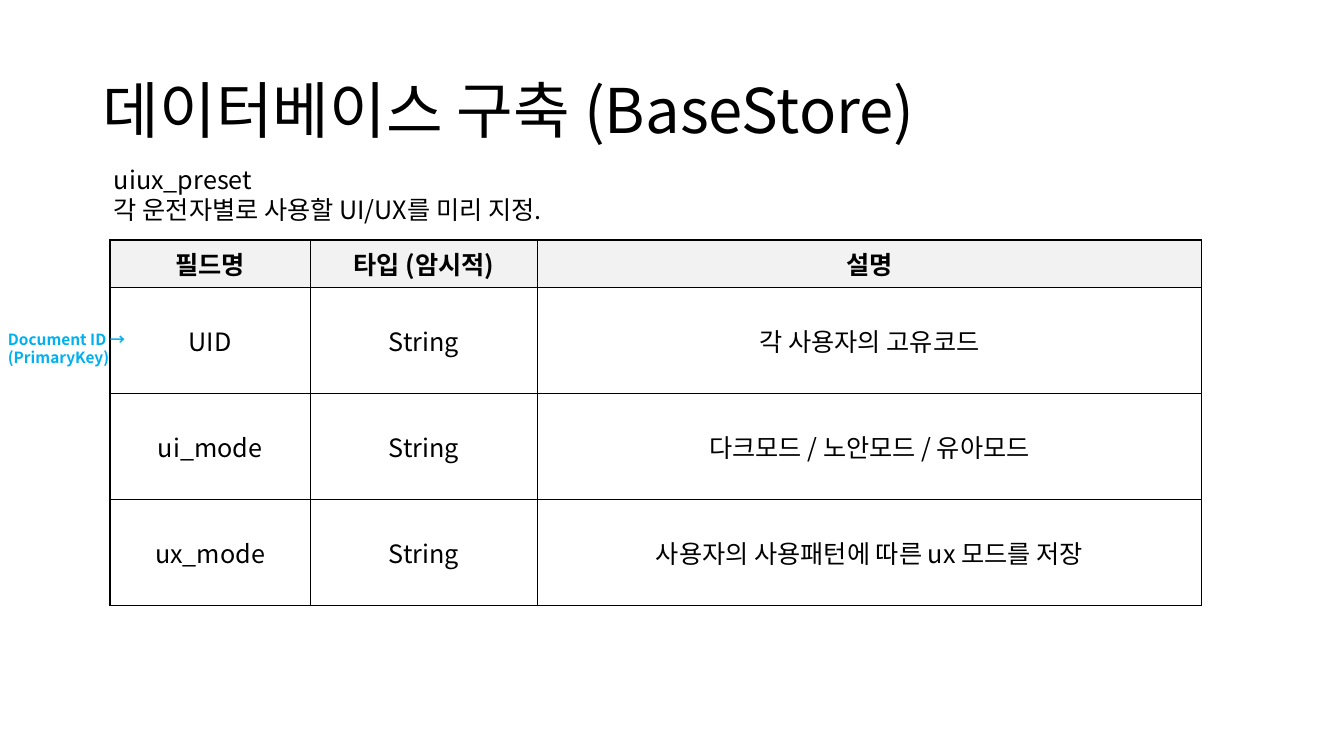
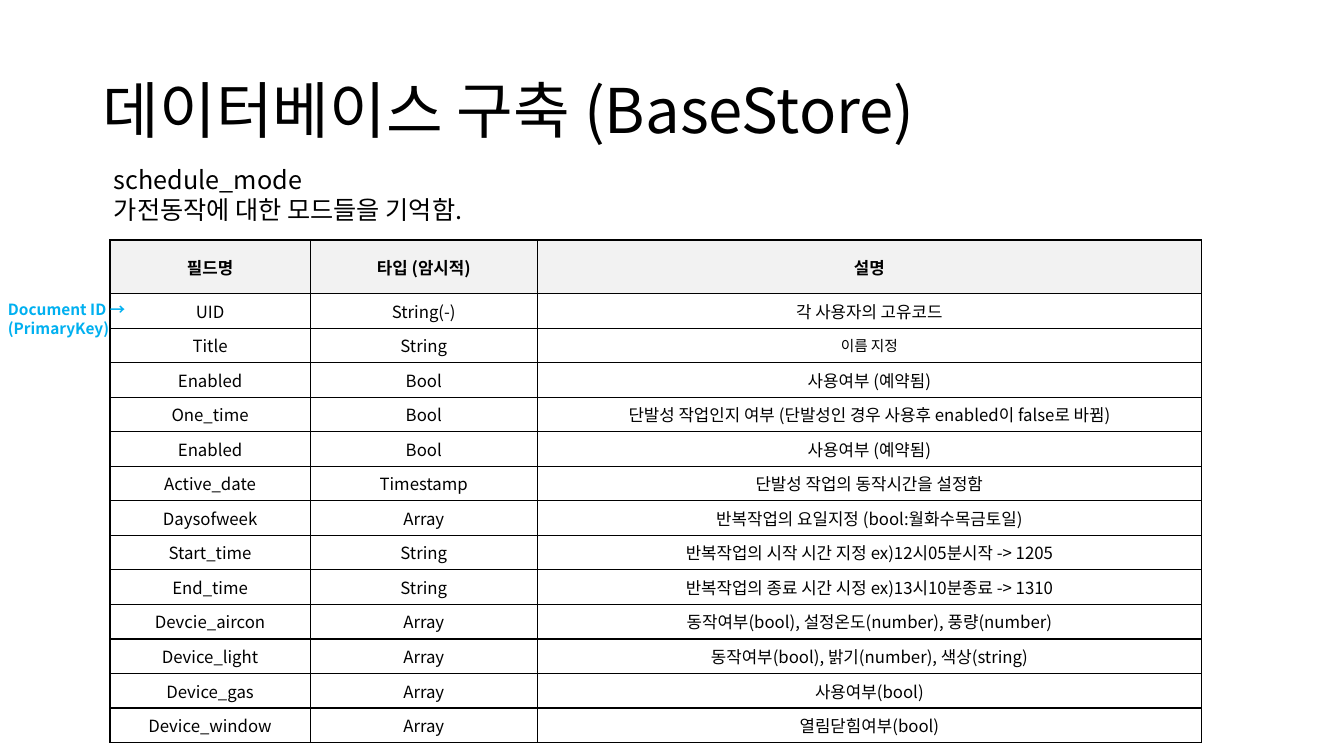
"""Build two slides that document the collections of a document database."""
import pptx
import pptx.dml.color
import pptx.enum.text
import pptx.oxml.ns
import pptx.util
from lxml import etree

Cm = pptx.util.Cm
Pt = pptx.util.Pt
FONT = "Noto Sans CJK KR"
BLACK, HEADER_GREY, KEY_BLUE = "000000", "F2F2F2", "00B0F0"
TITLE = "데이터베이스 구축 (BaseStore)"
TITLE_BOX = (2.34, 1.02, 29.21, 3.68)
NOTE_BOX = (2.62, 4.01, 12.47, 1.8)
TABLE_CORNER = (2.77, 6.05)
COLUMN_WIDTHS = (5.05, 5.72, 16.74)
KEY_SIZE = (3.53, 1.19)
KEY_LINES = ("Document ID →", "(PrimaryKey)")
HEADINGS = ("필드명", "타입 (암시적)", "설명")

PRESET = {
    "note": ("uiux_preset", "각 운전자별로 사용할 UI/UX를 미리 지정."),
    "size": 18,
    "heights": (1.19, 2.67),
    "fields": (
        ("UID", "String", "각 사용자의 고유코드"),
        ("ui_mode", "String", "다크모드 / 노안모드 / 유아모드"),
        ("ux_mode", "String", "사용자의 사용패턴에 따른 ux 모드를 저장"),
    ),
}
SCHEDULE = {
    "note": ("schedule_mode", "가전동작에 대한 모드들을 기억함."),
    "size": 12,
    "heights": (1.35, 0.87),
    "special_sizes": {"이름 지정": 10.5},
    "fields": (
        ("UID", "String(-)", "각 사용자의 고유코드"),
        ("Title", "String", "이름 지정"),
        ("Enabled", "Bool", "사용여부 (예약됨)"),
        ("One_time", "Bool", "단발성 작업인지 여부 (단발성인 경우 사용후 enabled이 false로 바뀜)"),
        ("Enabled", "Bool", "사용여부 (예약됨)"),
        ("Active_date", "Timestamp", "단발성 작업의 동작시간을 설정함"),
        ("Daysofweek", "Array", "반복작업의 요일지정 (bool:월화수목금토일)"),
        ("Start_time", "String", "반복작업의 시작 시간 지정 ex)12시05분시작 -> 1205"),
        ("End_time", "String", "반복작업의 종료 시간 시정 ex)13시10분종료 -> 1310"),
        ("Devcie_aircon", "Array", "동작여부(bool), 설정온도(number), 풍량(number)"),
        ("Device_light", "Array", "동작여부(bool), 밝기(number), 색상(string)"),
        ("Device_gas", "Array", "사용여부(bool)"),
        ("Device_window", "Array", "열림닫힘여부(bool)"),
    ),
}


def colour(value):
    """Turn a hex string into a colour."""
    return pptx.dml.color.RGBColor.from_string(value)


def add_span(para, text, size, ink=BLACK, bold=False):
    """Add one run, with the font set for Latin and Korean text."""
    span = para.add_run()
    span.text = text
    span.font.size = Pt(size)
    span.font.bold = bold
    span.font.color.rgb = colour(ink)
    span.font.name = FONT
    east_asian = etree.SubElement(span.font._element, pptx.oxml.ns.qn("a:ea"))
    east_asian.set("typeface", FONT)


def add_text(page, box, lines, size, ink=BLACK, bold=False):
    """Place a text box with one paragraph per line and return its frame."""
    frame = page.shapes.add_textbox(*map(Cm, box)).text_frame
    frame.word_wrap = True
    for index, line in enumerate(lines):
        para = frame.add_paragraph() if index else frame.paragraphs[0]
        add_span(para, line, size, ink, bold)
    return frame


def add_title(page, box):
    """Place the shared title."""
    frame = add_text(page, box, [TITLE], 44)
    frame.vertical_anchor = pptx.enum.text.MSO_ANCHOR.MIDDLE
    frame.paragraphs[0].line_spacing = 0.9


def add_borders(cell):
    """Draw a thin black line on each side of a cell."""
    properties = cell._tc.get_or_add_tcPr()
    for side in ("lnL", "lnR", "lnT", "lnB"):
        line = etree.SubElement(properties, pptx.oxml.ns.qn("a:" + side), w=str(Pt(1)))
        fill = etree.SubElement(line, pptx.oxml.ns.qn("a:solidFill"))
        etree.SubElement(fill, pptx.oxml.ns.qn("a:srgbClr"), val=BLACK)


def fill_cell(cell, text, size, is_heading):
    """Format one table cell and write its text."""
    add_borders(cell)
    if is_heading:
        cell.fill.solid()
        cell.fill.fore_color.rgb = colour(HEADER_GREY)
    else:
        cell.fill.background()
    cell.vertical_anchor = pptx.enum.text.MSO_ANCHOR.MIDDLE
    para = cell.text_frame.paragraphs[0]
    para.alignment = pptx.enum.text.PP_ALIGN.CENTER
    add_span(para, text, size, bold=is_heading)


def add_field_table(page, corner, collection):
    """Place the table of fields with its corner at the given point."""
    rows = (HEADINGS,) + collection["fields"]
    heading_height, field_height = collection["heights"]
    heights = [heading_height] + [field_height] * len(collection["fields"])
    box = (*corner, sum(COLUMN_WIDTHS), sum(heights))
    table = page.shapes.add_table(len(rows), len(HEADINGS), *map(Cm, box)).table
    table.first_row = table.horz_banding = False
    for column, width in zip(table.columns, COLUMN_WIDTHS):
        column.width = Cm(width)
    special_sizes = collection.get("special_sizes", {})
    for index, (row, height, texts) in enumerate(zip(table.rows, heights, rows)):
        row.height = Cm(height)
        for cell, text in zip(row.cells, texts):
            fill_cell(cell, text, special_sizes.get(text, collection["size"]), index == 0)


def add_key_label(page, corner, heights):
    """Place the key label beside the first field of the table."""
    heading_height, field_height = heights
    top = corner[1] + heading_height + field_height / 2 - 0.39
    add_text(page, (corner[0] - 2.82, top, *KEY_SIZE), KEY_LINES, 11, KEY_BLUE, True)


def add_collection_page(deck, collection):
    """Add the slide that describes one collection."""
    page = deck.slides.add_slide(deck.slide_layouts[6])
    add_title(page, TITLE_BOX)
    add_field_table(page, TABLE_CORNER, collection)
    add_text(page, NOTE_BOX, collection["note"], 18)
    add_key_label(page, TABLE_CORNER, collection["heights"])


def main():
    """Build and save the deck."""
    deck = pptx.Presentation()
    deck.slide_width, deck.slide_height = Cm(33.87), Cm(19.05)
    for collection in (PRESET, SCHEDULE):
        add_collection_page(deck, collection)
    deck.save("out.pptx")


if __name__ == "__main__":
    main()
